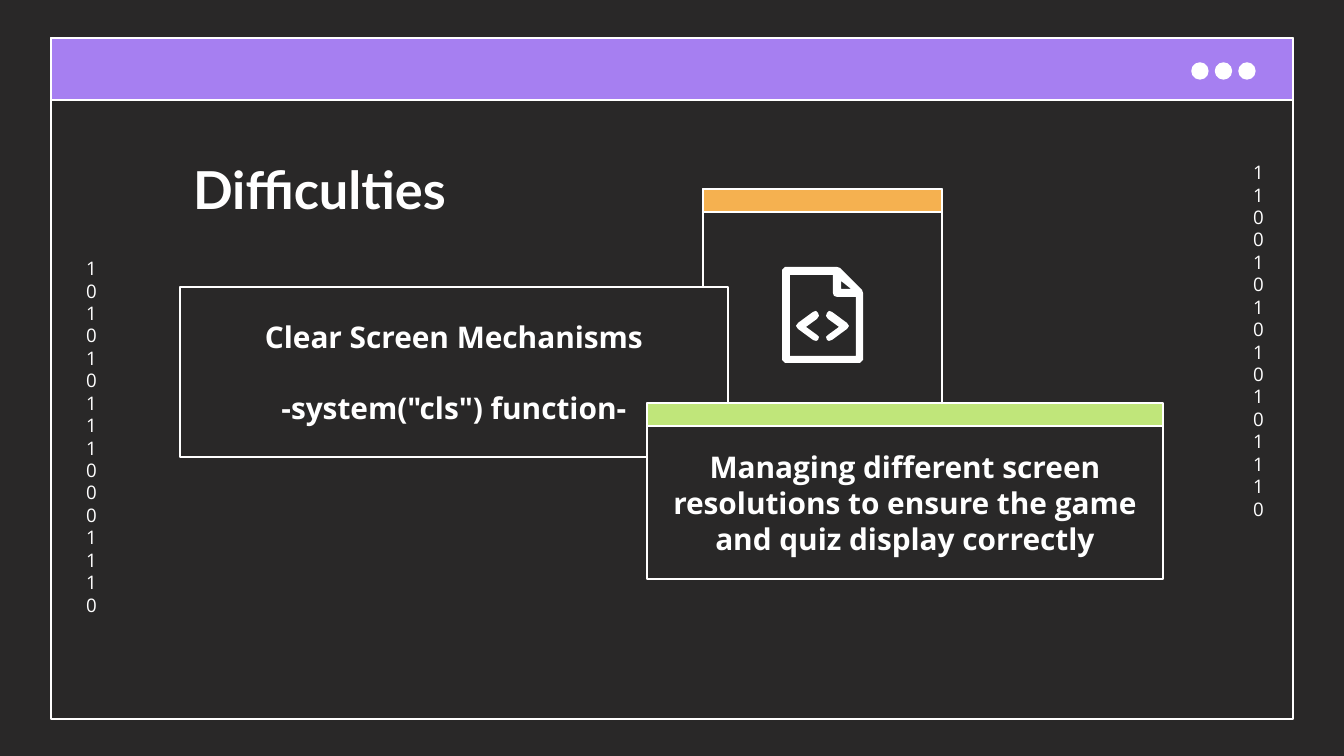
from dataclasses import dataclass

from lxml import etree
from pptx import Presentation
from pptx.dml.color import RGBColor
from pptx.enum.shapes import MSO_SHAPE
from pptx.enum.text import MSO_ANCHOR, MSO_AUTO_SIZE, PP_ALIGN
from pptx.oxml.ns import qn
from pptx.util import Pt

RECT, OVAL = MSO_SHAPE.RECTANGLE, MSO_SHAPE.OVAL
TOP, MIDDLE = MSO_ANCHOR.TOP, MSO_ANCHOR.MIDDLE
LEFT, CENTER = PP_ALIGN.LEFT, PP_ALIGN.CENTER
FIXED = MSO_AUTO_SIZE.NONE
SCALE = 914400 / 134.4
INSET = 13


@dataclass(frozen=True)
class Theme:
    """Colours, fonts and sizes of the slide."""
    dark: str = "292828"
    white: str = "FFFFFF"
    purple: str = "A67FF1"
    orange: str = "F5B150"
    green: str = "C0E67A"
    head: str = "Lato"
    text: str = "Open Sans"
    title: int = 28
    body: int = 16
    code: int = 10
    line: float = 0.75


THEME = Theme()
PAGE = [(785, 267), (837, 267), (840, 268), (862, 290), (863, 293), (863, 360),
        (860, 363), (785, 363), (782, 360), (782, 270)]
INNER = [(790, 275), (833, 275), (833, 293), (834, 296), (837, 297),
         (856, 297), (856, 356), (790, 356)]
FOLD = [(841, 281), (851, 289), (841, 289)]
ANGLE = [(847, 329), (832, 340), (829, 341), (827, 340), (826, 337),
         (828, 335), (839, 327), (828, 319), (826, 316), (827, 313),
         (829, 311), (832, 312), (847, 323), (849, 326)]


def px(*nums):
    """Turn pixels into EMU."""
    return [round(n * SCALE) for n in nums]


def rgb(code):
    """Turn a hex code into a colour."""
    return RGBColor.from_string(code)


def paint(shape, fill):
    """Give a shape its fill and the white outline."""
    if fill:
        shape.fill.solid()
        shape.fill.fore_color.rgb = rgb(fill)
    else:
        shape.fill.background()
    shape.line.color.rgb = rgb(THEME.white)
    shape.line.width = Pt(THEME.line)


def block(slide, kind, box, fill=None):
    """Add an outlined preset shape."""
    shape = slide.shapes.add_shape(kind, *px(*box))
    shape.shadow.inherit = False
    paint(shape, fill)


def write(shape, *lines, size, font=THEME.text, bold=False, align=CENTER,
          anchor=MIDDLE, pad=INSET, gap=0):
    """Fill a shape with formatted paragraphs."""
    frame = shape.text_frame
    frame.word_wrap = True
    frame.auto_size = FIXED
    frame.vertical_anchor = anchor
    frame.margin_left = frame.margin_right = px(INSET)[0]
    frame.margin_top = frame.margin_bottom = px(pad)[0]
    for i, line in enumerate(lines):
        para = frame.add_paragraph() if i else frame.paragraphs[0]
        para.alignment = align
        para.line_spacing = 1.0
        para.space_before = Pt(gap if i else 0)
        props = para._p.get_or_add_pPr()
        props.set("marL", "0")
        props.set("indent", "0")
        etree.SubElement(props, qn("a:buNone"))
        run = para.add_run()
        run.text = line
        run.font.name = font
        run.font.size = Pt(size)
        run.font.bold = bold
        run.font.color.rgb = rgb(THEME.white)


def place(shape, box):
    """Move a placeholder into its box and to the front."""
    shape.left, shape.top, shape.width, shape.height = px(*box)
    shape.element.getparent().append(shape.element)


def panel(shape, box, *lines, gap=0):
    """Turn a body placeholder into an outlined panel."""
    place(shape, box)
    paint(shape, THEME.dark)
    write(shape, *lines, size=THEME.body, bold=True, gap=gap)


def window(slide):
    """Draw the window frame with its bar and three dots."""
    block(slide, RECT, (51, 38, 1242, 681))
    block(slide, RECT, (51, 38, 1242, 62), THEME.purple)
    for i in range(3):
        block(slide, OVAL, (1192 + 23.5 * i, 63, 16, 16), THEME.white)


def column(slide, left, top, bits):
    """Add a narrow box that stacks its digits."""
    shape = slide.shapes.add_textbox(*px(left, top, 32, 376))
    write(shape, bits, size=THEME.code, anchor=TOP)


def icon(slide):
    """Draw the code file icon as one outline."""
    mirror = [(1645 - x, y) for x, y in ANGLE]
    start, *rest = PAGE
    path = slide.shapes.build_freeform(*start, scale=SCALE)
    path.add_line_segments(rest)
    for loop in (INNER, FOLD, ANGLE, mirror):
        path.move_to(*loop[0])
        path.add_line_segments(loop[1:])
    shape = path.convert_to_shape()
    shape.shadow.inherit = False
    paint(shape, THEME.white)
    shape.line.fill.background()


def main():
    """Build and save the slide."""
    deck = Presentation()
    deck.slide_width, deck.slide_height = px(1344, 756)
    slide = deck.slides.add_slide(deck.slide_layouts[3])
    slide.background.fill.solid()
    slide.background.fill.fore_color.rgb = rgb(THEME.dark)
    title, clear, screen = list(slide.placeholders)[:3]

    window(slide)
    column(slide, 1240, 148, "1100101010101110")
    column(slide, 73, 244, "1010101110001110")
    block(slide, RECT, (703, 189, 239, 239), THEME.dark)
    block(slide, RECT, (703, 189, 239, 23), THEME.orange)
    panel(clear, (180, 287, 548, 170), "Clear Screen Mechanisms",
          '-system("cls") function-', gap=19)
    icon(slide)
    panel(screen, (647, 426, 516, 153), "Managing different screen "
          "resolutions to ensure the game and quiz display correctly")
    block(slide, RECT, (647, 403, 516, 23), THEME.green)
    place(title, (180, 150, 337, 77))
    write(title, "Difficulties", size=THEME.title, font=THEME.head, bold=True,
          align=LEFT, anchor=TOP, pad=7)
    deck.save("out.pptx")


if __name__ == "__main__":
    main()
